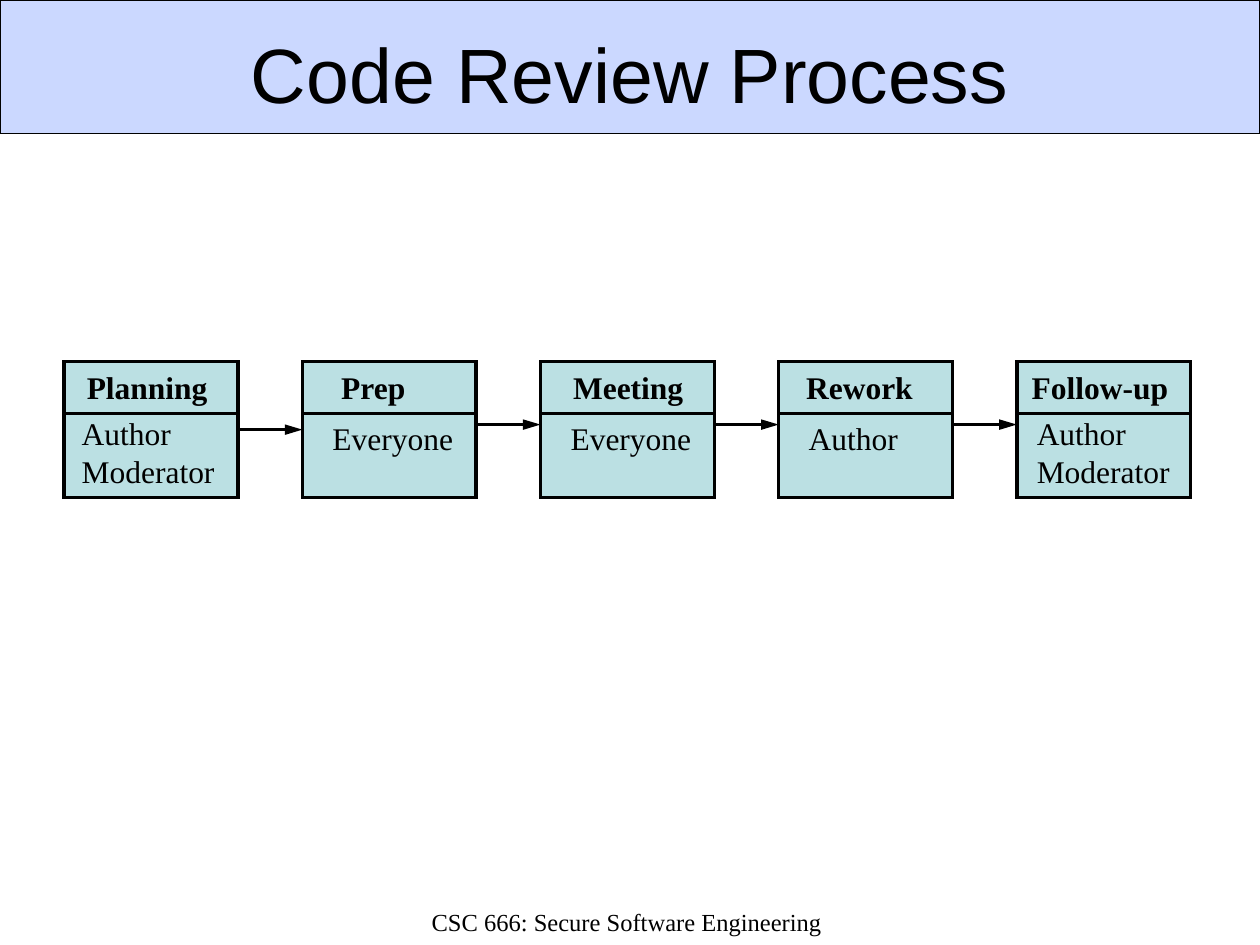
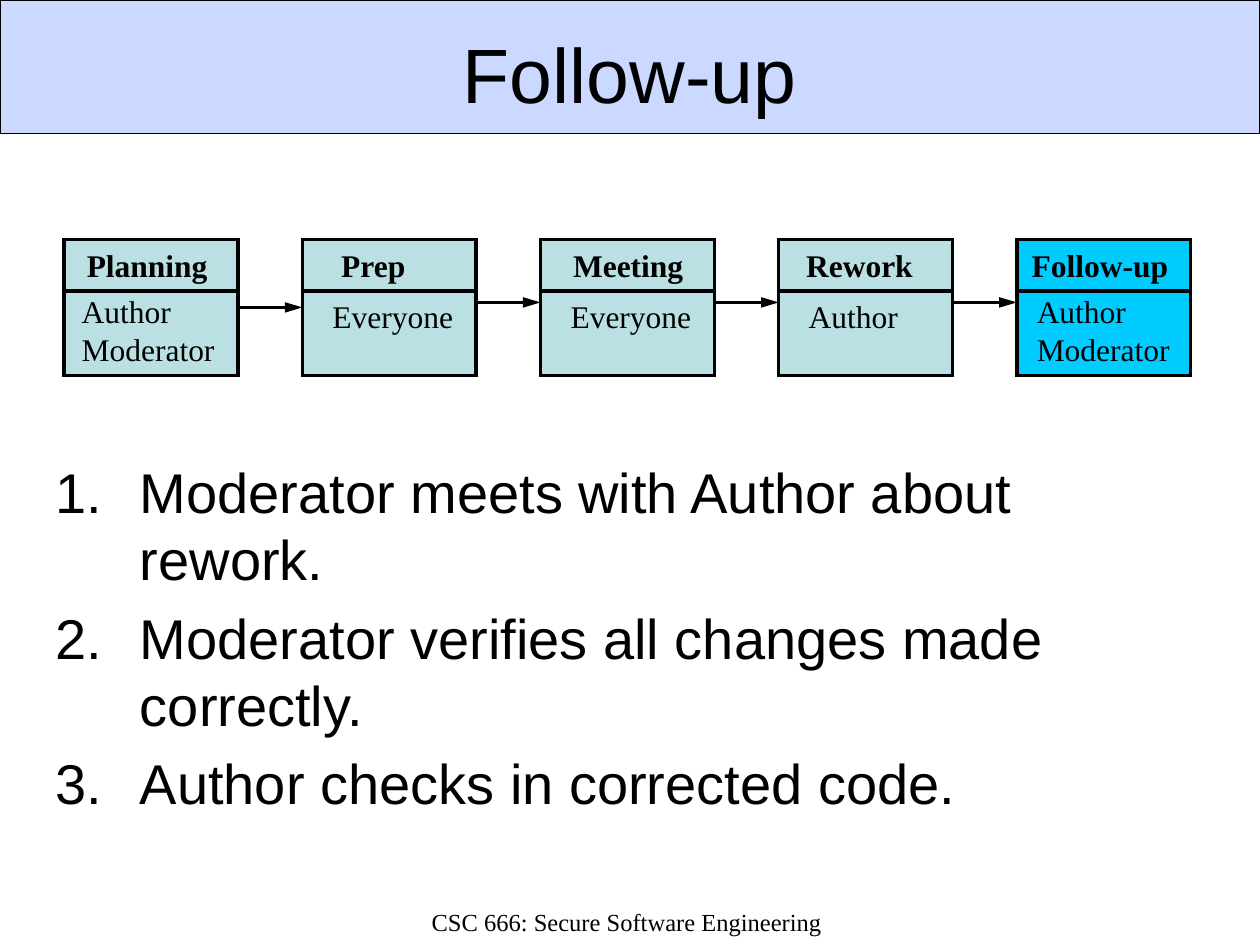
"""Build two slides on the code review process."""
import pptx
import pptx.dml.color
import pptx.enum.shapes
import pptx.enum.text
import pptx.oxml
import pptx.oxml.ns
import pptx.util

Inches = pptx.util.Inches
Pt = pptx.util.Pt
ALIGN = pptx.enum.text.PP_ALIGN
ANCHOR = pptx.enum.text.MSO_ANCHOR
AUTO_SIZE = pptx.enum.text.MSO_AUTO_SIZE
RECTANGLE = pptx.enum.shapes.MSO_SHAPE.RECTANGLE
STRAIGHT = pptx.enum.shapes.MSO_CONNECTOR.STRAIGHT

COLORS = {"ink": "000000", "band": "3366FF", "stage": "BBE0E3", "current": "00CCFF"}
SANS, SERIF = "Arial", "Times New Roman"
FOOTER = "CSC 666: Secure Software Engineering"

STAGE_LEFT, STAGE_PITCH, STAGE_WIDTH, STAGE_HEIGHT = 0.51, 1.89, 1.38, 1.08
RULE_OFFSET = 0.41
STAGES = [
    ("Planning", 0.08, 1.18, ["Author", "Moderator"], 0.04, 1.28),
    ("Prep", 0.21, 0.74, ["Everyone"], 0.14, 1.18),
    ("Meeting", 0.16, 1.12, ["Everyone"], 0.14, 1.18),
    ("Rework", 0.12, 1.13, ["Author"], 0.14, 0.93),
    ("Follow-up", 0.02, 1.34, ["Author", "Moderator"], 0.06, 1.28),
]


def rgb(name):
    return pptx.dml.color.RGBColor.from_string(COLORS[name])


def add_xml(parent, tag, **attrs):
    child = pptx.oxml.parse_xml(f"<a:{tag} {pptx.oxml.ns.nsdecls('a')}/>")
    for key, value in attrs.items():
        child.set(key, value)
    parent.append(child)
    return child


def write_text(tf, lines, size=18, font=SERIF, bold=False, align=ALIGN.LEFT):
    for i, line in enumerate(lines):
        p = tf.paragraphs[0] if i == 0 else tf.add_paragraph()
        p.alignment = align
        r = p.add_run()
        r.text = line
        r.font.size = Pt(size)
        r.font.name = font
        r.font.bold = bold
        r.font.color.rgb = rgb("ink")


class Deck:
    """Hold the shared style and the current slide."""

    def __init__(self):
        self.prs = pptx.Presentation()
        self.prs.slide_width = Inches(10)
        self.prs.slide_height = Inches(7.5)
        self.slide = None

    def place(self, sp, left, top, width, height):
        sp.left, sp.top = Inches(left), Inches(top)
        sp.width, sp.height = Inches(width), Inches(height)

    def new_slide(self, title, layout):
        self.slide = self.prs.slides.add_slide(self.prs.slide_layouts.get_by_name(layout))
        shapes = self.slide.shapes
        band = self.rect(shapes, 0, 0, 10, 1.06, "band", 0.75)
        color = band.element.spPr.find(".//" + pptx.oxml.ns.qn("a:srgbClr"))
        add_xml(color, "alpha", val="25000")
        shapes.title.element.addprevious(band.element)
        self.place(shapes.title, 0.5, 0.17, 9, 0.82)
        tf = shapes.title.text_frame
        tf.auto_size = AUTO_SIZE.NONE
        tf.vertical_anchor = ANCHOR.MIDDLE
        write_text(tf, [title], size=44, font=SANS, align=ALIGN.CENTER)
        self.text(shapes, 1.61, 7.15, 6.73, 0.35, [FOOTER], wrap=True,
                  size=14, align=ALIGN.CENTER)

    def rect(self, shapes, left, top, width, height, fill, weight=2):
        sp = shapes.add_shape(RECTANGLE, Inches(left), Inches(top),
                              Inches(width), Inches(height))
        sp.shadow.inherit = False
        sp.fill.solid()
        sp.fill.fore_color.rgb = rgb(fill)
        sp.line.color.rgb = rgb("ink")
        sp.line.width = Pt(weight)
        add_xml(sp.line._get_or_add_ln(), "miter", lim="800000")
        return sp

    def text(self, shapes, left, top, width, height, lines, wrap=False, **fmt):
        sp = shapes.add_textbox(Inches(left), Inches(top), Inches(width), Inches(height))
        tf = sp.text_frame
        tf.word_wrap = wrap
        tf.auto_size = AUTO_SIZE.NONE if wrap else AUTO_SIZE.SHAPE_TO_FIT_TEXT
        write_text(tf, lines, **fmt)

    def line(self, shapes, left, right, y, arrow=False):
        cxn = shapes.add_connector(STRAIGHT, Inches(left), Inches(y), Inches(right), Inches(y))
        cxn.line.color.rgb = rgb("ink")
        cxn.line.width = Pt(2)
        if arrow:
            add_xml(cxn.line._get_or_add_ln(), "tailEnd", type="triangle", len="lg")
        add_xml(cxn.element.spPr, "effectLst")

    def stage(self, left, top, stage, fill):
        name, name_dx, name_width, roles, roles_dx, roles_width = stage
        shapes = self.slide.shapes.add_group_shape().shapes
        self.rect(shapes, left, top, STAGE_WIDTH, STAGE_HEIGHT, fill)
        self.line(shapes, left, left + STAGE_WIDTH, top + RULE_OFFSET)
        self.text(shapes, left + name_dx, top, name_width, 0.4, [name], bold=True)
        roles_dy = RULE_OFFSET if len(roles) == 1 else 0.37
        self.text(shapes, left + roles_dx, top + roles_dy, roles_width,
                  0.1 + 0.3 * len(roles), roles)

    def process(self, top, current=None):
        lefts = [STAGE_LEFT + i * STAGE_PITCH for i in range(len(STAGES))]
        for left, stage in zip(lefts, STAGES):
            self.stage(left, top, stage, "current" if stage[0] == current else "stage")
        for i, (left, following) in enumerate(zip(lefts, lefts[1:])):
            self.line(self.slide.shapes, left + STAGE_WIDTH, following,
                      top + (0.54 if i == 0 else 0.5), arrow=True)

    def numbered_list(self, left, top, width, height, items):
        body = self.slide.placeholders[1]
        self.place(body, left, top, width, height)
        tf = body.text_frame
        tf.auto_size = AUTO_SIZE.NONE
        write_text(tf, items, size=32, font=SANS)
        for p in tf.paragraphs:
            p.space_before = Pt(6.4)
            pPr = p._p.get_or_add_pPr()
            pPr.set("marL", str(Inches(0.67)))
            pPr.set("indent", str(-Inches(0.67)))
            add_xml(pPr, "buFont", typeface=SANS)
            add_xml(pPr, "buAutoNum", type="arabicPeriod")


def main():
    deck = Deck()
    deck.new_slide("Code Review Process", "Title Only")
    deck.process(2.87)

    deck.new_slide("Follow-up", "Title and Content")
    deck.numbered_list(0.34, 3.58, 9.2, 2.6, [
        "Moderator meets with Author about rework.",
        "Moderator verifies all changes made correctly.",
        "Author checks in corrected code.",
    ])
    deck.process(1.9, current="Follow-up")
    deck.prs.save("out.pptx")


main()
